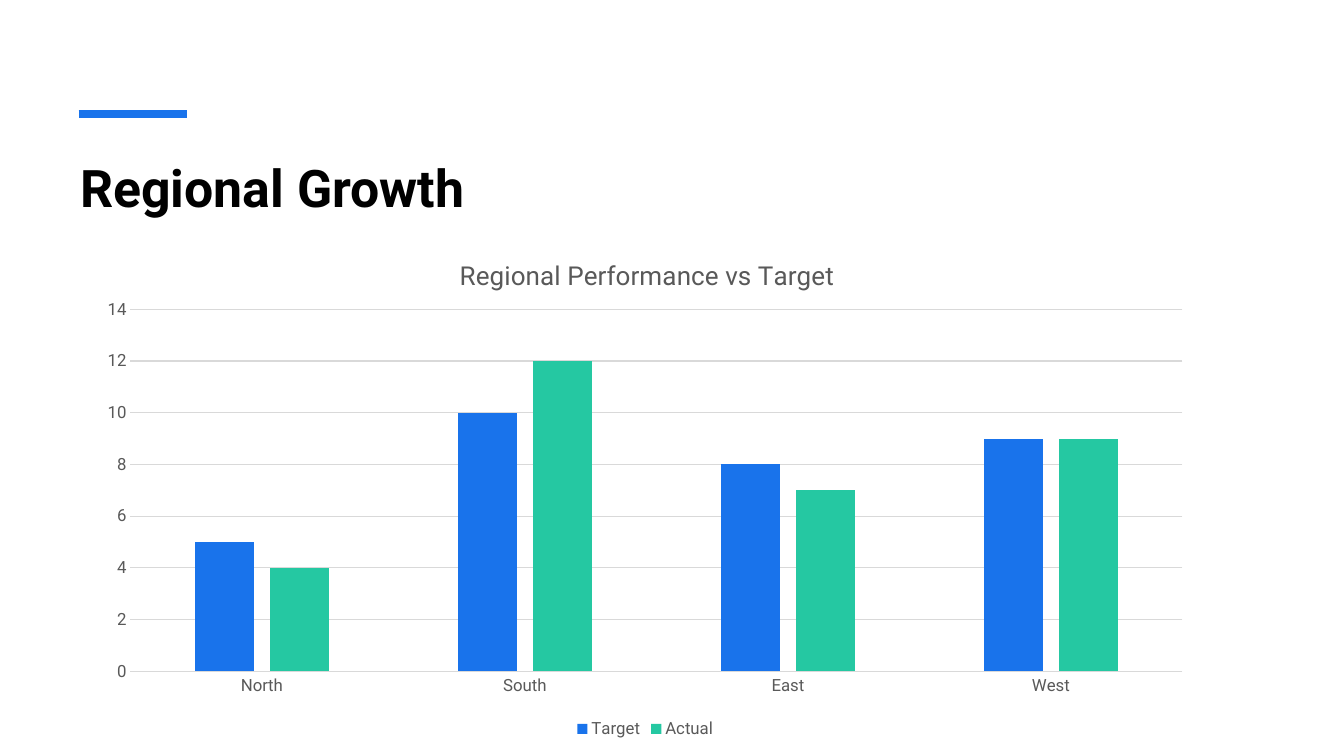
import pptx
import pptx.chart.data
import pptx.dml.color
import pptx.enum.chart
import pptx.enum.shapes
import pptx.enum.text
import pptx.oxml
import pptx.oxml.ns
import pptx.util

PX = 9144  # 100 px to the inch
FONT = "Roboto"
COLORS = {
    "title": "000000",
    "accent": "1973EB",
    "actual": "25C8A2",
    "label": "595959",
    "grid": "D9D9D9",
}
REGIONS = ["North", "South", "East", "West"]
SERIES = [
    ("Target", [5, 10, 8, 9], "accent"),
    ("Actual", [4, 12, 7, 9], "actual"),
]


def px(*lengths):
    return [pptx.util.Emu(n * PX) for n in lengths]


def rgb(name):
    return pptx.dml.color.RGBColor.from_string(COLORS[name])


def style_font(font, size, color, bold=False):
    values = {"name": FONT, "size": pptx.util.Pt(size), "bold": bold}
    for key, value in values.items():
        setattr(font, key, value)
    font.color.rgb = rgb(color)


def style_line(line, color, width):
    line.color.rgb = rgb(color)
    line.width = pptx.util.Pt(width)


def manual_layout(target, **fractions):
    """Return a layout element; fractions are of the whole chart."""
    ns = pptx.oxml.ns.nsdecls("c")
    inner = f'<c:layoutTarget val="{target}"/>' if target else ""
    modes = '<c:xMode val="edge"/><c:yMode val="edge"/>'
    sizes = "".join(f'<c:{k} val="{v}"/>' for k, v in fractions.items())
    return pptx.oxml.parse_xml(
        f"<c:layout {ns}><c:manualLayout>{inner}{modes}{sizes}"
        "</c:manualLayout></c:layout>"
    )


def add_heading(s, left, top, width, height):
    """Place the accent rule and, below it, the slide title."""
    rule = s.shapes.add_connector(
        pptx.enum.shapes.MSO_CONNECTOR.STRAIGHT,
        *px(left + 8, top, left + 115, top),
    )
    style_line(rule.line, "accent", 6)
    pr = rule._element.spPr
    pr.append(pptx.oxml.parse_xml(f'<a:effectLst {pptx.oxml.ns.nsdecls("a")}/>'))

    title_top = top + 37
    sp = s.shapes.add_textbox(*px(left, title_top, width, height - 37))
    tf = sp.text_frame
    tf.word_wrap = True
    tf.vertical_anchor = pptx.enum.text.MSO_ANCHOR.TOP
    r = tf.paragraphs[0].add_run()
    r.text = "Regional Growth"
    style_font(r.font, 37, "title", bold=True)


def style_axes(chart):
    for axis in (chart.category_axis, chart.value_axis):
        axis.major_tick_mark = pptx.enum.chart.XL_TICK_MARK.NONE
        axis.minor_tick_mark = pptx.enum.chart.XL_TICK_MARK.NONE
        style_font(axis.tick_labels.font, 12, "label")
    style_line(chart.category_axis.format.line, "grid", 0.75)

    values = chart.value_axis
    values.format.line.fill.background()
    scale = {"minimum_scale": 0, "maximum_scale": 14, "major_unit": 2}
    for key, value in scale.items():
        setattr(values, key, value)
    style_line(values.major_gridlines.format.line, "grid", 0.75)


def add_region_chart(s, left, top, width, height):
    data = pptx.chart.data.CategoryChartData()
    data.categories = REGIONS
    for name, values, _ in SERIES:
        data.add_series(name, values)
    chart = s.shapes.add_chart(
        pptx.enum.chart.XL_CHART_TYPE.COLUMN_CLUSTERED,
        *px(left, top, width, height),
        data,
    ).chart
    style_font(chart.font, 10, "title")

    plot = chart.plots[0]
    for key, value in {"gap_width": 219, "overlap": -27, "vary_by_categories": False}.items():
        setattr(plot, key, value)
    for series, (_, _, color) in zip(plot.series, SERIES):
        series.format.fill.solid()
        series.format.fill.fore_color.rgb = rgb(color)
    style_axes(chart)

    chart.has_title = True
    title = chart.chart_title
    r = title.text_frame.paragraphs[0].add_run()
    r.text = "Regional Performance vs Target"
    style_font(r.font, 18.6, "label")
    title.include_in_layout = False

    chart.has_legend = True
    chart.legend.position = pptx.enum.chart.XL_LEGEND_POSITION.BOTTOM
    chart.legend.include_in_layout = False
    style_font(chart.legend.font, 12, "label")

    layouts = [
        (title._element, manual_layout(None, x=0.33, y=0.04), 1),
        (chart._chartSpace.chart.plotArea,
         manual_layout("inner", x=0.04, y=0.15, w=0.94, h=0.71), 0),
    ]
    for element, layout, index in layouts:
        for old in element.findall(pptx.oxml.ns.qn("c:layout")):
            element.remove(old)
        element.insert(index, layout)


def main():
    prs = pptx.Presentation()
    prs.slide_width, prs.slide_height = px(1333, 750)
    s = prs.slides.add_slide(prs.slide_layouts[6])
    add_heading(s, 70, 113, 627, 157)
    add_region_chart(s, 85, 231, 1110, 506)
    prs.save("out.pptx")


if __name__ == "__main__":
    main()
